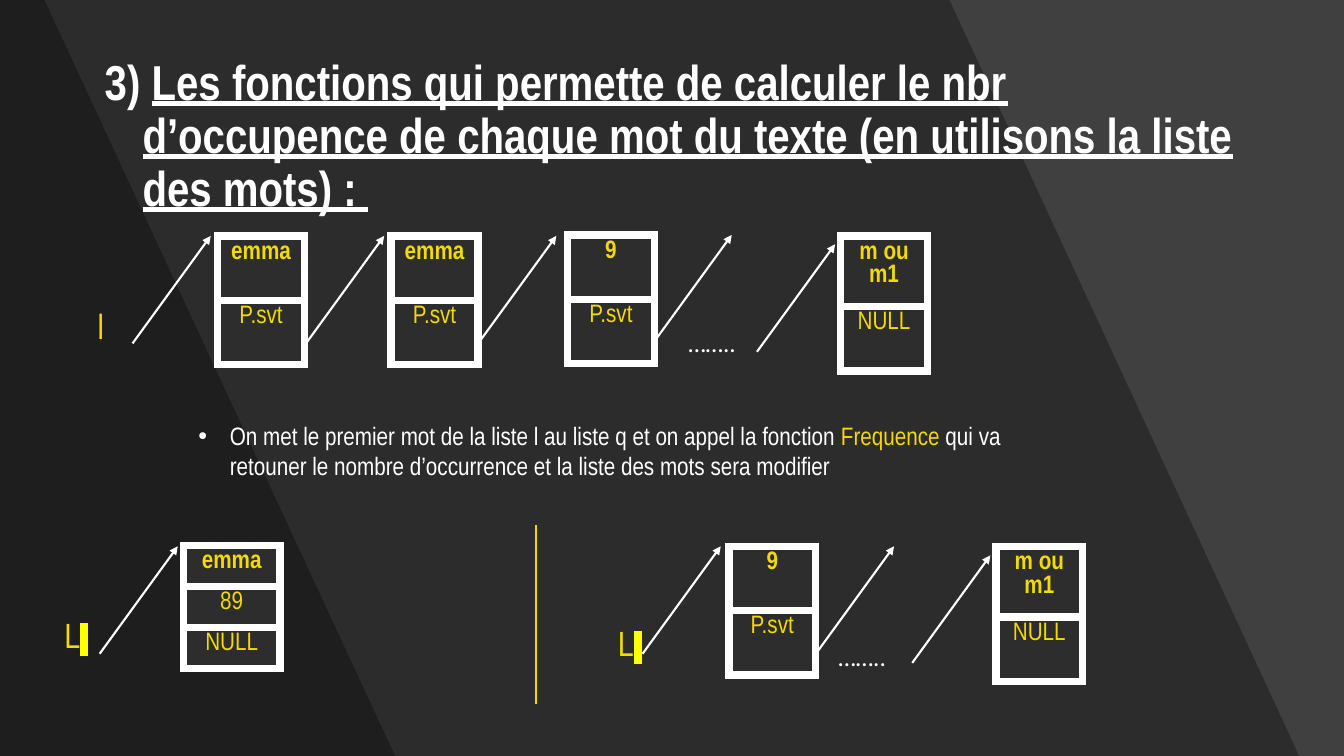
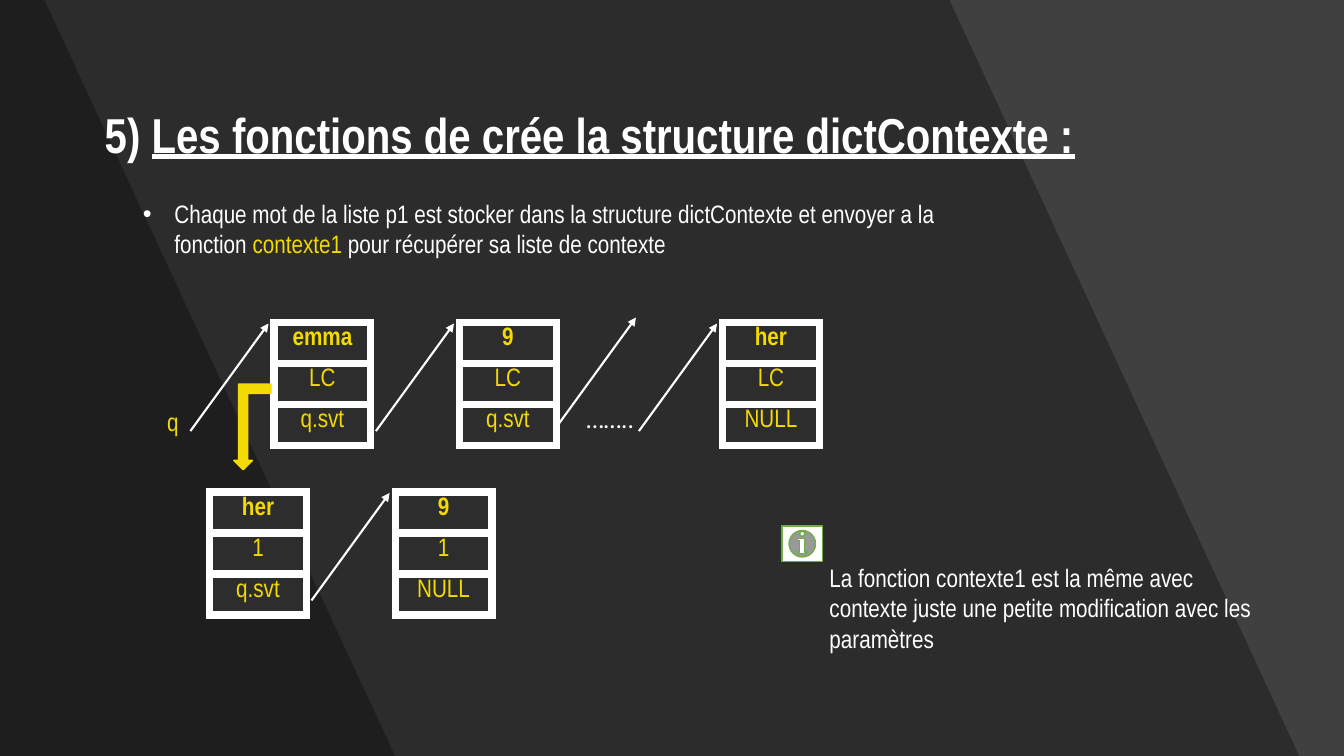
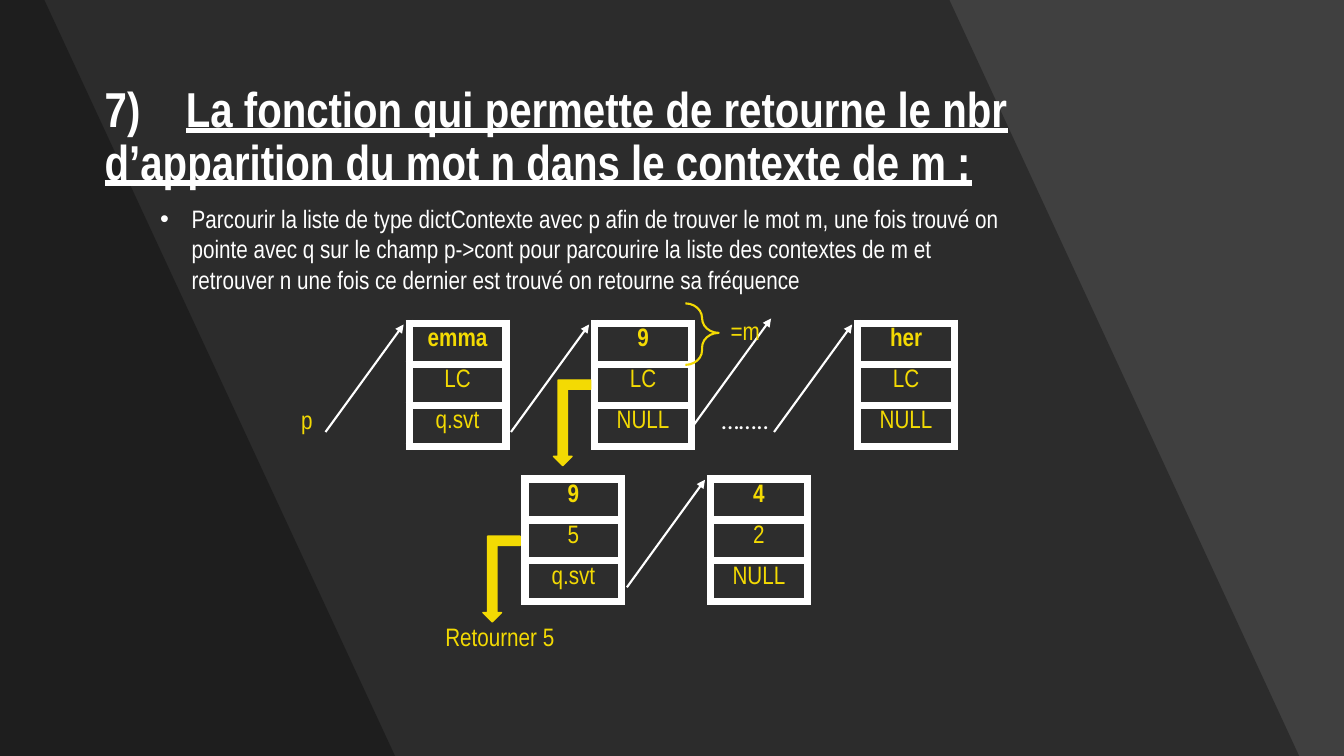
from lxml import etree
from pptx import Presentation
from pptx.dml.color import RGBColor as RGB
from pptx.enum.shapes import MSO_CONNECTOR as Conn, MSO_SHAPE as Geo
from pptx.enum.text import MSO_ANCHOR as Anchor, PP_ALIGN as Align
from pptx.oxml.ns import qn
from pptx.util import Pt

W, H = 960, 540
COLORS = {
    "bg": "404040",
    "shade": "000000",
    "cell": "2D2D2D",
    "text": "FFFFFF",
    "accent": "F3DA03",
    "mark": "FFFF00",
    "info": "70AD47",
}
FONT, DOTS_FONT = "Arial Narrow", "Calibri"
ARROW_DX, ARROW_DY = 55.8, 76.8


def rgb(name):
    return RGB.from_string(COLORS[name])


def sub(parent, tag, **attrs):
    return etree.SubElement(parent, qn(tag), **attrs)


class Deck:
    def __init__(self):
        self.prs = Presentation()
        self.prs.slide_width, self.prs.slide_height = Pt(W), Pt(H)
        self.s = None

    def slide(self, title, indent=0, tab=None):
        """Start a slide with its background bands and title runs."""
        self.s = self.prs.slides.add_slide(self.prs.slide_layouts[6])
        fill = self.s.background.fill
        fill.solid()
        fill.fore_color.rgb = rgb("bg")
        self.band(678.2, 928)
        self.band(31.7, 282.2)

        number, heading = title
        tf = self.frame(67.7, 58.3, 828.7, 80.6)
        tf.vertical_anchor = Anchor.MIDDLE
        p = tf.paragraphs[0]
        p.line_spacing = 0.9
        self.hang(p, indent)
        if tab:
            tabs = sub(p._p.get_or_add_pPr(), "a:tabLst")
            sub(tabs, "a:tab", pos=str(Pt(tab)), algn="l")
        self.run(p, number, size=35, bold=True)
        self.run(p, heading, size=35, bold=True).font.underline = True

    def band(self, top_x, bottom_x):
        """Translucent band from the left edge to a slanted right side."""
        ff = self.s.shapes.build_freeform(0, 0)
        ff.add_line_segments([(Pt(top_x), 0), (Pt(bottom_x), Pt(H)), (0, Pt(H))])
        sp = ff.convert_to_shape()
        self.paint(sp, "shade")
        color = sp.element.spPr.find(qn("a:solidFill"))[0]
        sub(color, "a:alpha", val="30000")

    def paint(self, sp, fill=None, line=None, width=1):
        sp.shadow.inherit = False
        if fill:
            sp.fill.solid()
            sp.fill.fore_color.rgb = rgb(fill)
        else:
            sp.fill.background()
        if line:
            sp.line.color.rgb = rgb(line)
            sp.line.width = Pt(width)
        else:
            sp.line.fill.background()

    def frame(self, x, y, w, h):
        tf = self.s.shapes.add_textbox(Pt(x), Pt(y), Pt(w), Pt(h)).text_frame
        tf.word_wrap = True
        return tf

    def hang(self, p, indent):
        if indent:
            pPr = p._p.get_or_add_pPr()
            pPr.set("marL", str(Pt(indent)))
            pPr.set("indent", str(-Pt(indent)))

    def run(self, p, text, color="text", size=18, bold=False, font=FONT):
        r = p.add_run()
        r.text = text
        r.font.size, r.font.bold, r.font.name = Pt(size), bold, font
        r.font.color.rgb = rgb(color)
        return r

    def label(self, x, y, w, text, color="accent", size=18, font=FONT, marked=False):
        p = self.frame(x, y, w, size * 1.6).paragraphs[0]
        self.run(p, text, color, size, font=font)
        if marked:
            r = self.run(p, " ", color, size, font=font)
            mark = etree.Element(qn("a:highlight"))
            sub(mark, "a:srgbClr", val=COLORS["mark"])
            r.font._element.find(qn("a:solidFill")).addnext(mark)

    def dots(self, x, y):
        self.label(x, y, 81.4, "……..", "text", font=DOTS_FONT)

    def bullet(self, x, y, w, h, *runs):
        """Bulleted paragraph of (text, colour) runs."""
        p = self.frame(x, y, w, h).paragraphs[0]
        self.hang(p, 22.5)
        pPr = p._p.get_or_add_pPr()
        sub(pPr, "a:buFont", typeface="Arial")
        sub(pPr, "a:buChar", char="•")
        for text, color in runs:
            self.run(p, text, color)

    def line(self, x1, y1, x2, y2, color="text", arrow=False):
        c = self.s.shapes.add_connector(Conn.STRAIGHT, Pt(x1), Pt(y1), Pt(x2), Pt(y2))
        c.line.color.rgb = rgb(color)
        c.line.width = Pt(1.5)
        if arrow:
            sub(c.element.spPr.find(qn("a:ln")), "a:tailEnd", type="triangle")
        sub(c.element.spPr, "a:effectLst")

    def arrow(self, tip_x, tip_y):
        """Rising link arrow that ends at the given tip."""
        self.line(tip_x - ARROW_DX, tip_y + ARROW_DY, tip_x, tip_y, arrow=True)

    def node(self, x, y, *cells, linked=True, gap=4, drop=0.7, top=None):
        """List cell as a one-column table, with the arrow that leads to it."""
        w, row_h = (62, 46) if len(cells) == 2 else (69, 29.3)
        heights = [top or row_h] + [row_h] * (len(cells) - 1)
        tbl = self.s.shapes.add_table(
            len(cells), 1, Pt(x), Pt(y), Pt(w), Pt(sum(heights))).table
        tbl.first_row = tbl.horz_banding = False
        for i, (text, height) in enumerate(zip(cells, heights)):
            tbl.rows[i].height = Pt(height)
            cell = tbl.cell(i, 0)
            p = cell.text_frame.paragraphs[0]
            p.alignment = Align.CENTER
            self.run(p, text, "accent", bold=i == 0)
            tcPr = cell._tc.get_or_add_tcPr()
            for side in "LRTB":
                ln = sub(tcPr, f"a:ln{side}", w=str(Pt(6)))
                sub(sub(ln, "a:solidFill"), "a:srgbClr", val=COLORS["text"])
            cell.fill.solid()
            cell.fill.fore_color.rgb = rgb("cell")
        if linked:
            self.arrow(x - gap, y + drop)

    def context_list(self, x, y, middle_end):
        """Main chain of three nodes, with an open link before the last."""
        self.node(x, y, "emma", "LC", "q.svt")
        self.node(x + 132.5, y, "9", "LC", middle_end)
        self.node(x + 320.4, y, "her", "LC", "NULL")
        self.arrow(x + 258.5, y - 3.6)
        self.dots(x + 216, y + 54)

    def sub_list(self, x, y, first, last):
        self.node(x, y, *first, linked=False)
        self.node(x + 132.5, y, *last)

    def shape(self, geo, x, y, w, h, fill=None, line="accent", width=1):
        sp = self.s.shapes.add_shape(geo, Pt(x), Pt(y), Pt(w), Pt(h))
        self.paint(sp, fill, line, width)
        return sp

    def down_arrow(self, x, y):
        self.shape(Geo.BENT_UP_ARROW, x, y, 26.6, 61.2, "accent").rotation = 180


def frequency_slide(d):
    d.slide(("3) ", "Les fonctions qui permette de calculer le nbr d’occupence "
             "de chaque mot du texte (en utilisons la liste des mots) : "), indent=27)
    d.label(62.6, 213.8, 51.8, "l", size=25)
    for x in (155.5, 279.4):
        d.node(x, 168.5, "emma", "P.svt", gap=5, drop=0)
    d.node(405.4, 167.8, "9", "P.svt", gap=8)
    d.arrow(522.7, 167.8)
    d.dots(484.6, 230.4)
    d.node(600.5, 168.5, "m ou m1", "NULL", drop=6, top=50.4)

    d.bullet(134.6, 296.6, 604, 51,
             ("On met le premier mot de la liste l au liste q et on appel la fonction ", "text"),
             ("Frequence", "accent"),
             (" qui va retouner le nombre d’occurrence et la liste des mots sera modifier", "text"))

    d.label(38.9, 434.9, 51.8, "L", size=25, marked=True)
    d.node(131, 389.5, "emma", "89", "NULL")
    d.line(383, 375.1, 383, 502.6, "accent")
    d.label(434.2, 440.6, 51.8, "L", size=25, marked=True)
    d.node(520.6, 390.2, "9", "P.svt", gap=5.8, drop=0)
    d.arrow(638.6, 390.2)
    d.dots(591.8, 454.3)
    d.node(711.4, 390.2, "m ou m1", "NULL", drop=6.5, top=50.4)


def context_slide(d):
    d.slide(("5) ", "Les fonctions de crée la structure dictContexte :"))
    d.bullet(95, 138.2, 613.4, 51,
             ("Chaque mot de la liste p1 est stocker dans la structure dictContexte "
              "et envoyer a la fonction ", "text"),
             ("contexte1", "accent"),
             (" pour récupérer sa liste de contexte", "text"))
    d.label(112.3, 286.6, 59.8, "q")
    d.context_list(195.8, 230.4, "q.svt")
    d.down_arrow(167, 274.3)
    d.sub_list(149.8, 351.4, ("her", "1", "q.svt"), ("9", "1", "NULL"))
    d.label(585.4, 398.2, 324.7,
            "La fonction contexte1 est la même avec contexte juste une petite "
            "modification avec les paramètres", "text")
    d.shape(Geo.ACTION_BUTTON_INFORMATION, 558.7, 375.8, 28.8, 25.2, "text", "info")


def search_slide(d):
    d.slide(("7)\t", "La fonction qui permette de retourne le nbr d’apparition "
             "du mot n dans le contexte de m :"), tab=58)
    d.bullet(107.3, 141.8, 614.9, 94.3,
             ("Parcourir la liste de type dictContexte avec p afin de trouver le mot m, "
              "une fois trouvé on pointe avec q sur le champ p->cont pour parcourire la "
              "liste des contextes de m et retrouver n une fois ce dernier est trouvé "
              "on retourne sa fréquence", "text"))
    d.label(208.1, 285.1, 59.8, "p")
    d.context_list(292.3, 231.1, "NULL")
    d.down_arrow(395.3, 271.4)
    d.sub_list(375.1, 342, ("9", "5", "q.svt"), ("4", "2", "NULL"))
    brace = d.shape(Geo.RIGHT_BRACE, 489.6, 216.7, 23.8, 43.9, width=1.5)
    brace.adjustments[0], brace.adjustments[1] = 0.44, 0.48
    d.label(514.8, 221.8, 69.1, "=m")
    d.down_arrow(344.9, 383)
    d.label(311, 440.6, 169.9, "Retourner 5")


def main():
    d = Deck()
    frequency_slide(d)
    context_slide(d)
    search_slide(d)
    d.prs.save("out.pptx")


if __name__ == "__main__":
    main()
